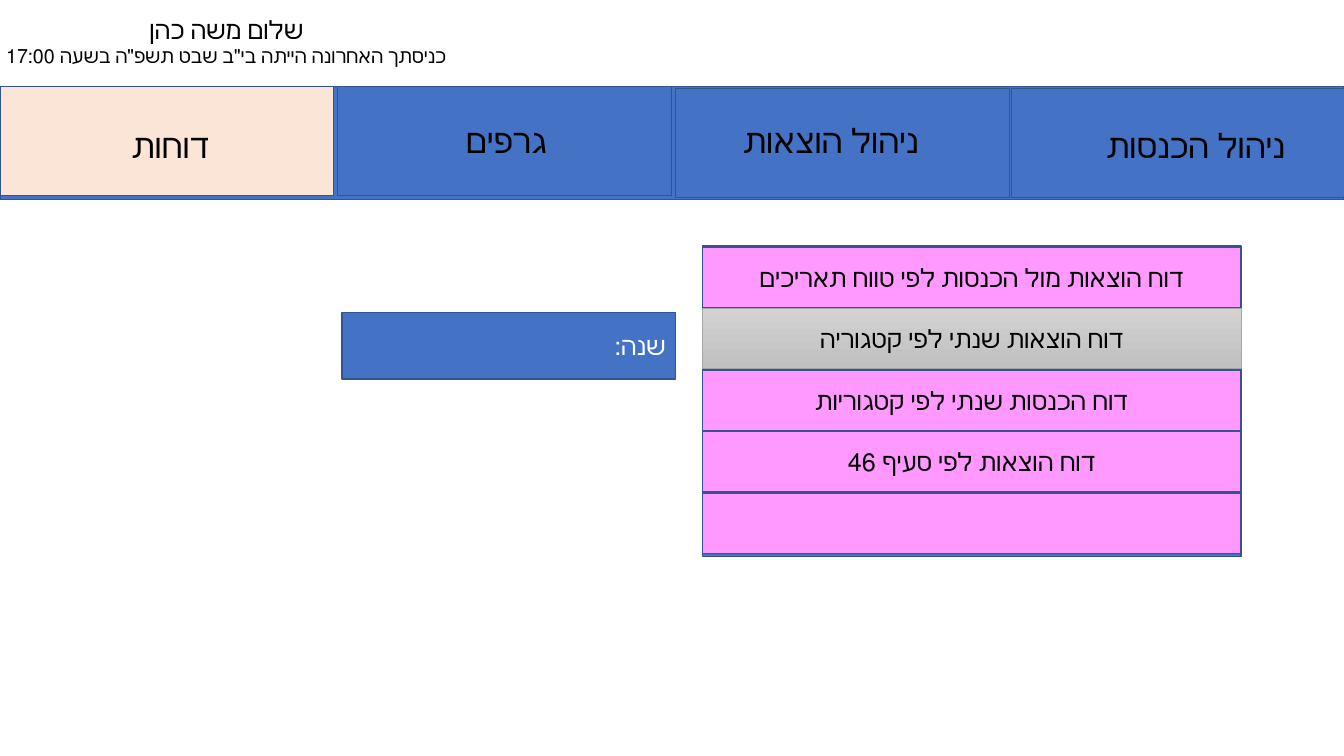
import pptx
import pptx.util
import pptx.dml.color
import pptx.enum.shapes
import pptx.enum.text
from dataclasses import dataclass

ALIGN = pptx.enum.text.PP_ALIGN
ANCHOR = pptx.enum.text.MSO_ANCHOR
FIT = pptx.enum.text.MSO_AUTO_SIZE


@dataclass(frozen=True)
class Theme:
    font: str = "Calibri"
    ink: str = "000000"
    white: str = "FFFFFF"
    blue: str = "4472C4"
    edge: str = "325491"
    peach: str = "FBE5D6"
    pink: str = "FF99FF"
    grey: tuple = ("D2D2D2", "C0C0C0")
    rim: str = "A5A5A5"
    tab: int = 24
    base: int = 18
    small: int = 14


def rgb(code):
    return pptx.dml.color.RGBColor.from_string(code)


class Page:
    scale = 9144

    def __init__(self, deck, theme):
        self.theme = theme
        self.slide = deck.slides.add_slide(deck.slide_layouts[5])

    def span(self, *sizes):
        return [pptx.util.Emu(size * self.scale) for size in sizes]

    def fill_text(self, frame, lines, color, align):
        frame.word_wrap = True
        for index, (text, size) in enumerate(lines):
            para = frame.add_paragraph() if index else frame.paragraphs[0]
            para.alignment = align
            para._p.get_or_add_pPr().set("rtl", "1")
            run = para.add_run()
            run.text = text
            run.font.name = self.theme.font
            run.font.size = pptx.util.Pt(size)
            run.font.color.rgb = rgb(color)

    def title(self, box, lines):
        shape = self.slide.shapes.title
        shape.left, shape.top, shape.width, shape.height = self.span(*box)
        frame = shape.text_frame
        frame.vertical_anchor = ANCHOR.TOP
        frame.auto_size = FIT.SHAPE_TO_FIT_TEXT
        self.fill_text(frame, lines, self.theme.ink, ALIGN.CENTER)

    def label(self, box, text, align):
        frame = self.slide.shapes.add_textbox(*self.span(*box)).text_frame
        frame.auto_size = FIT.SHAPE_TO_FIT_TEXT
        self.fill_text(frame, [(text, self.theme.tab)], self.theme.ink, align)

    def block(self, box, fill, text="", color=None, align=ALIGN.CENTER):
        kind = pptx.enum.shapes.MSO_SHAPE.RECTANGLE
        shape = self.slide.shapes.add_shape(kind, *self.span(*box))
        shape.shadow.inherit = False
        shade = isinstance(fill, tuple)
        if shade:
            shape.fill.gradient()
            shape.fill.gradient_angle = 270
            for stop, code in zip(shape.fill.gradient_stops, fill):
                stop.color.rgb = rgb(code)
        else:
            shape.fill.solid()
            shape.fill.fore_color.rgb = rgb(fill)
        shape.line.color.rgb = rgb(self.theme.rim if shade else self.theme.edge)
        shape.line.width = pptx.util.Pt(0.5 if shade else 1)
        if text:
            frame = shape.text_frame
            frame.vertical_anchor = ANCHOR.MIDDLE
            self.fill_text(frame, [(text, self.theme.base)], color or self.theme.ink, align)


def main():
    deck = pptx.Presentation()
    deck.slide_width = pptx.util.Inches(13.33)
    deck.slide_height = pptx.util.Inches(7.5)
    theme = Theme()
    page = Page(deck, theme)

    page.title((-16, 9, 481, 71), [
        ("שלום משה כהן", theme.base),
        ("כניסתך האחרונה הייתה בי\"ב שבט תשפ\"ה בשעה 17:00", theme.small),
    ])

    page.block((0, 86, 1333, 112), theme.blue)
    tabs = [
        ("דוחות", 0, 86, theme.peach, 14, 119, ALIGN.RIGHT),
        ("גרפים", 335, 86, theme.blue, 348, 114, ALIGN.RIGHT),
        ("ניהול הוצאות", 670, 88, theme.blue, 717, 114, ALIGN.RIGHT),
        ("ניהול הכנסות", 1003, 88, theme.blue, 1084, 119, ALIGN.CENTER),
    ]
    for text, left, top, fill, x, y, align in tabs:
        page.block((left, top, 331, 108), fill)
        page.label((x, y, 204, 50), text, align)

    page.block((697, 244, 534, 308), theme.blue)
    menu = [
        ("דוח הוצאות מול הכנסות לפי טווח תאריכים", theme.pink),
        ("דוח הוצאות שנתי לפי קטגוריה", theme.grey),
        ("דוח הכנסות שנתי לפי קטגוריות", theme.pink),
        ("דוח הוצאות לפי סעיף 46", theme.pink),
        ("", theme.pink),
    ]
    for row, (text, fill) in enumerate(menu):
        page.block((697, 245 + 61 * row, 534, 60), fill, text)

    page.block((339, 310, 331, 66), theme.blue, "שנה:", theme.white, ALIGN.RIGHT)
    deck.save("out.pptx")


if __name__ == "__main__":
    main()
